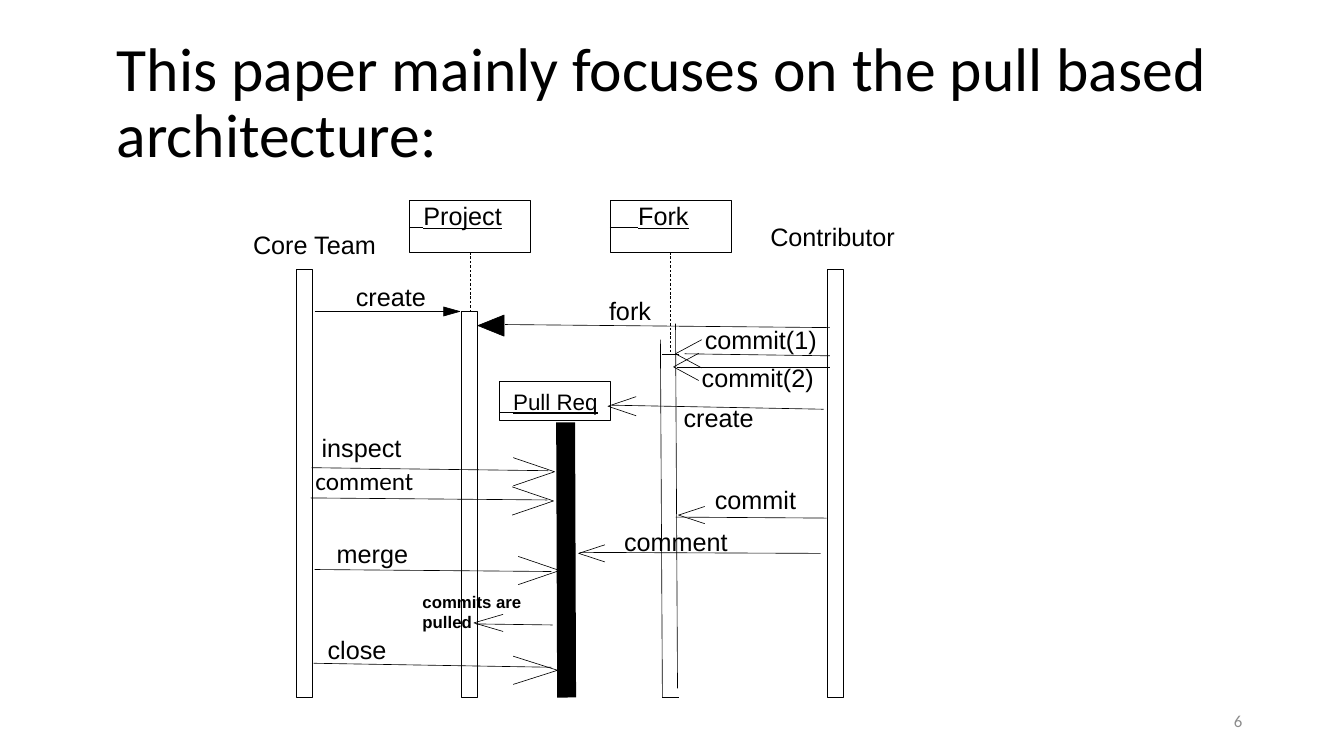
from dataclasses import dataclass

from lxml import etree
from pptx import Presentation
from pptx.dml.color import RGBColor
from pptx.enum.dml import MSO_LINE
from pptx.enum.shapes import MSO_CONNECTOR, MSO_SHAPE
from pptx.enum.text import MSO_ANCHOR, PP_ALIGN
from pptx.oxml.ns import qn
from pptx.util import Inches, Pt

BLACK = RGBColor(0x00, 0x00, 0x00)
GRAY = RGBColor(0x8C, 0x8C, 0x8C)
DASH = MSO_LINE.DASH
STRAIGHT = MSO_CONNECTOR.STRAIGHT
RECTANGLE = MSO_SHAPE.RECTANGLE
TOP, MIDDLE = MSO_ANCHOR.TOP, MSO_ANCHOR.MIDDLE
LEFT, RIGHT = PP_ALIGN.LEFT, PP_ALIGN.RIGHT

THIN = 0.44
BAR_WIDTH = 0.16
BOTTOM = 6.92


@dataclass
class Label:
    text: str
    x: float
    y: float
    w: float
    h: float
    size: float = 18
    font: str = "Arial"
    color: RGBColor = BLACK
    bold: bool = False
    underline: bool = False
    inset_x: float = 0
    inset_y: float = 0
    anchor: MSO_ANCHOR = TOP
    align: PP_ALIGN = LEFT
    spacing: float = 1.0


@dataclass
class Line:
    x1: float
    y1: float
    x2: float
    y2: float
    width: float = THIN
    dashed: bool = False


@dataclass
class Head:
    """Arrowhead; its back lies at tip_x + reach."""
    tip_x: float
    tip_y: float
    reach: float
    height: float
    filled: bool = False


@dataclass
class Participant:
    name: str
    x: float
    y: float
    w: float
    h: float
    indent: float
    text_y: float
    underline_y: float
    size: float = 18


TITLE = Label("This paper mainly focuses on the pull based architecture:",
              1.06, 0.31, 11.5, 1.45, 44, "Calibri", inset_x=0.1, inset_y=0.05,
              anchor=MIDDLE, spacing=0.9)
PAGE_NUMBER = Label("6", 9.42, 6.95, 3, 0.4, 12, "Calibri", GRAY,
                    inset_x=0.1, inset_y=0.05, anchor=MIDDLE, align=RIGHT)

PARTICIPANTS = [
    Participant("Project", 4.06, 1.99, 1.2, 0.51, 0.14, 1.99, 2.26),
    Participant("Fork", 6.05, 1.99, 1.2, 0.51, 0.28, 1.99, 2.26),
    Participant("Pull Req", 4.95, 3.78, 1.1, 0.39, 0.14, 3.85, 4.09, 16),
]

# Left and top of the core team, project and contributor bars
BARS = [(2.94, 2.67), (4.58, 3.09), (8.21, 2.67)]

LIFELINES = [
    Line(4.66, 2.5, 4.66, 3.09, dashed=True),
    Line(6.65, 2.5, 6.65, 3.52, dashed=True),
    Line(6.57, 3.52, 6.73, 3.52),
    Line(6.55, 3.37, 6.57, BOTTOM),
    Line(6.7, 3.21, 6.72, 6.83),
    Line(6.57, BOTTOM, 6.73, BOTTOM),
    Line(5.61, 4.19, 5.62, BOTTOM, width=13.5),
]

# Each message has a line and an arrowhead
MESSAGES = [
    (Line(3.12, 3.09, 4.56, 3.09), Head(4.56, 3.09, -0.16, 0.09, True)),
    (Line(8.23, 3.25, 5.01, 3.22), Head(4.74, 3.23, 0.26, 0.21, True)),
    (Line(8.23, 3.53, 6.79, 3.51), Head(6.7, 3.51, 0.26, 0.28)),
    (Line(8.23, 3.64, 6.71, 3.64), Head(6.68, 3.64, 0.25, 0.27)),
    (Line(8.17, 4.06, 6.07, 4.02), Head(6.03, 4.03, 0.28, 0.19)),
    (Line(3.09, 4.64, 5.44, 4.67), Head(5.5, 4.68, -0.41, 0.28)),
    (Line(3.08, 4.94, 5.43, 4.96), Head(5.49, 4.97, -0.41, 0.28)),
    (Line(8.2, 5.14, 6.7, 5.13), Head(6.73, 5.11, 0.26, 0.17)),
    (Line(8.14, 5.49, 5.75, 5.48), Head(5.74, 5.49, 0.26, 0.17)),
    (Line(3.12, 5.65, 5.47, 5.67), Head(5.55, 5.66, -0.41, 0.28)),
    (Line(5.48, 6.2, 4.72, 6.19), Head(4.7, 6.18, 0.29, 0.17)),
    (Line(3.11, 6.58, 5.47, 6.62), Head(5.53, 6.65, -0.44, 0.28)),
]

LABELS = [
    Label("Core Team", 2.51, 2.28, 1.42, 0.24),
    Label("Contributor", 7.64, 2.2, 1.63, 0.15),
    Label("create", 3.53, 2.79, 0.81, 0.27),
    Label("fork", 6.04, 2.93, 0.61, 0.26),
    Label("commit(1)", 6.99, 3.22, 1.48, 0.26),
    Label("commit(2)", 6.96, 3.59, 1.48, 0.26),
    Label("create", 6.78, 3.99, 0.81, 0.27),
    Label("inspect", 3.19, 4.29, 0.93, 0.38),
    Label("comment", 3.03, 4.57, 1.35, 0.4, font="Calibri", inset_x=0.1, inset_y=0.05),
    Label("commit", 7.09, 4.8, 0.81, 0.27),
    Label("comment", 6.19, 5.22, 1.06, 0.23),
    Label("merge", 3.34, 5.34, 0.9, 0.27),
    Label("commits are pulled", 4.19, 5.87, 1.08, 0.19, 12, bold=True),
    Label("close", 3.25, 6.29, 0.9, 0.27),
]


def add_label(s, label: Label) -> None:
    tb = s.shapes.add_textbox(*map(Inches, (label.x, label.y, label.w, label.h)))
    tf = tb.text_frame
    tf.word_wrap = True
    tf.vertical_anchor = label.anchor
    tf.margin_left = tf.margin_right = Inches(label.inset_x)
    tf.margin_top = tf.margin_bottom = Inches(label.inset_y)
    p = tf.paragraphs[0]
    p.text = label.text
    p.alignment = label.align
    p.line_spacing = label.spacing
    p.font.name = label.font
    p.font.size = Pt(label.size)
    p.font.bold = label.bold
    p.font.underline = label.underline
    p.font.color.rgb = label.color


def add_line(s, line: Line) -> None:
    cn = s.shapes.add_connector(STRAIGHT, *map(Inches, (line.x1, line.y1, line.x2, line.y2)))
    cn.line.color.rgb = BLACK
    cn.line.width = Pt(line.width)
    if line.dashed:
        cn.line.dash_style = DASH
    etree.SubElement(cn._element.spPr, qn("a:effectLst"))


def style_outline(sp, filled: bool = False) -> None:
    sp.shadow.inherit = False
    sp.line.color.rgb = BLACK
    sp.line.width = Pt(THIN)
    if filled:
        sp.fill.solid()
        sp.fill.fore_color.rgb = BLACK
    else:
        sp.fill.background()


def add_rectangle(s, x: float, y: float, w: float, h: float) -> None:
    style_outline(s.shapes.add_shape(RECTANGLE, *map(Inches, (x, y, w, h))))


def add_head(s, head: Head) -> None:
    back = Inches(head.tip_x + head.reach)
    upper, lower = (Inches(head.tip_y + k * head.height / 2) for k in (-1, 1))
    fb = s.shapes.build_freeform(back, upper)
    fb.add_line_segments([(Inches(head.tip_x), Inches(head.tip_y)), (back, lower)],
                         close=head.filled)
    style_outline(fb.convert_to_shape(), head.filled)


def add_participant(s, box: Participant) -> None:
    add_rectangle(s, box.x, box.y, box.w, box.h)
    text_x = box.x + box.indent
    add_label(s, Label(box.name, text_x, box.text_y, box.w - box.indent, 0.3,
                       box.size, underline=True))
    # The underline begins at the edge of the box
    add_line(s, Line(box.x, box.underline_y, text_x, box.underline_y, width=1))


def main() -> None:
    prs = Presentation()
    prs.slide_width, prs.slide_height = Inches(13.33), Inches(7.5)
    s = prs.slides.add_slide(prs.slide_layouts[6])
    add_label(s, TITLE)

    # Participants and lifelines
    for box in PARTICIPANTS:
        add_participant(s, box)
    for x, y in BARS:
        add_rectangle(s, x, y, BAR_WIDTH, BOTTOM - y)
    for line in LIFELINES:
        add_line(s, line)

    # Messages
    for line, head in MESSAGES:
        add_line(s, line)
        add_head(s, head)
    for label in LABELS + [PAGE_NUMBER]:
        add_label(s, label)
    prs.save("out.pptx")


if __name__ == "__main__":
    main()
